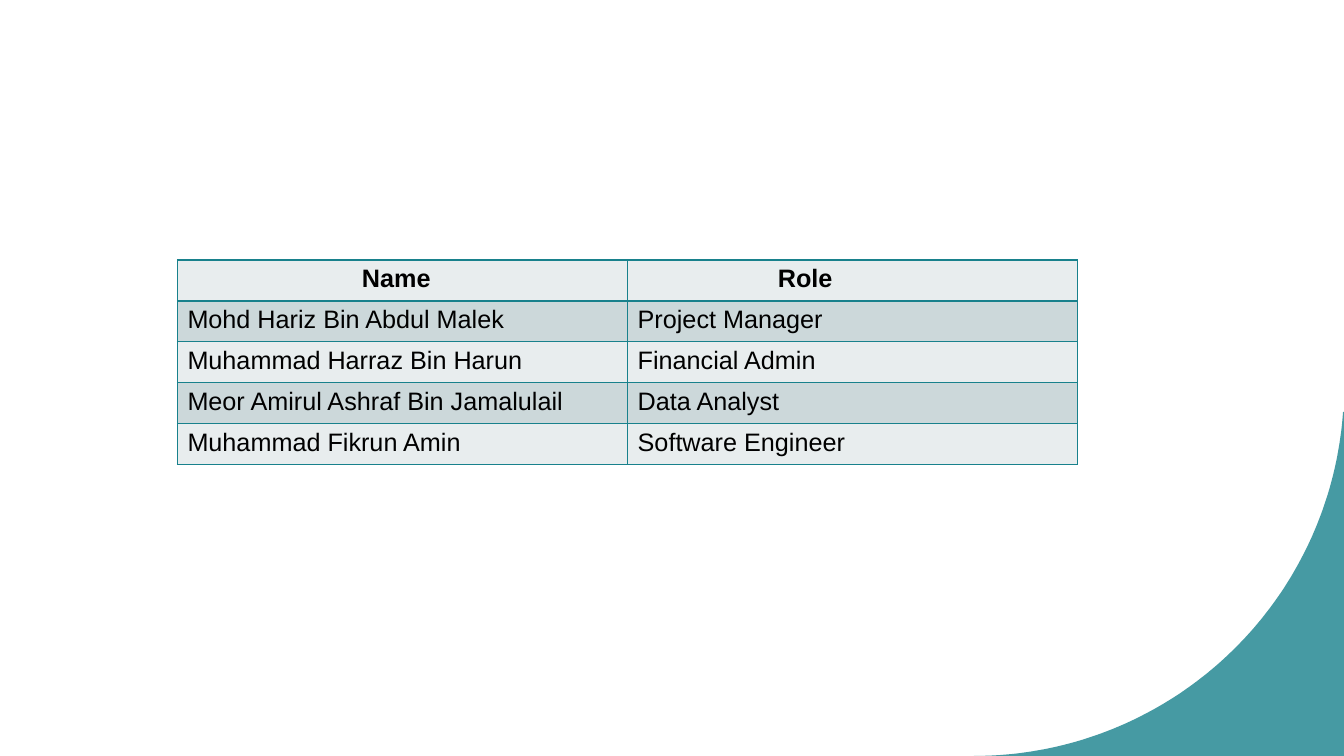
from math import cos, radians, sin

from lxml import etree
from pptx import Presentation
from pptx import util as u
from pptx.dml.color import RGBColor
from pptx.enum import text
from pptx.oxml import ns

WIDE, HIGH = 13.33, 7.5
TEAL = "18818C"
BANDS = ("E8EDEE", "CCD8DA")
ROWS = [
    ("Name", "Role"),
    ("Mohd Hariz Bin Abdul Malek", "Project Manager"),
    ("Muhammad Harraz Bin Harun", "Financial Admin"),
    ("Meor Amirul Ashraf Bin Jamalulail", "Data Analyst"),
    ("Muhammad Fikrun Amin", "Software Engineer"),
]
INSETS = (1.83, 1.49)


def tint(item, shade):
    item.solid()
    item.fore_color.rgb = RGBColor.from_string(shade)


def style(item, form):
    for name, value in form.items():
        setattr(item, name, value)


def add(parent, tag, **attrs):
    return etree.SubElement(parent, ns.qn(tag), attrs)


def corner(slide, left, top, size):
    arc = [(left + size * cos(radians(a)), top + size * sin(radians(a)))
           for a in range(4, 91)]
    edge = left + size
    pen = slide.shapes.build_freeform(edge, arc[0][1], scale=u.Inches(1))
    pen = slide.shapes.build_freeform(
        round(edge * 1000), round(arc[0][1] * 1000), scale=u.Inches(1) / 1000)
    points = arc + [(edge, top + size)]
    pen.add_line_segments(
        [(round(x * 1000), round(y * 1000)) for x, y in points], close=True)
    shape = pen.convert_to_shape()
    shape.shadow.inherit = False
    shape.line.fill.background()
    tint(shape.fill, TEAL)
    hue = shape.fill._xPr.find(ns.qn("a:solidFill"))[0]
    add(hue, "a:alpha", val="80000")


def border(cell):
    props = cell._tc.get_or_add_tcPr()
    for spot, side in enumerate(("lnL", "lnR", "lnT", "lnB")):
        line = etree.Element(ns.qn("a:" + side), w=str(u.Pt(1)))
        add(add(line, "a:solidFill"), "a:srgbClr", val=TEAL)
        props.insert(spot, line)


def team(slide, left, top, width, height):
    box = [u.Inches(v) for v in (left, top, width, height)]
    table = slide.shapes.add_table(len(ROWS), len(ROWS[0]), *box).table
    for r, row in enumerate(ROWS):
        for c, words in enumerate(row):
            cell = table.cell(r, c)
            style(cell, {
                "text": words,
                "margin_left": u.Inches(0.1 if r else INSETS[c]),
                "vertical_anchor": text.MSO_ANCHOR.TOP,
            })
            tint(cell.fill, BANDS[r % 2])
            border(cell)
            font = cell.text_frame.paragraphs[0].runs[0].font
            style(font, {"name": "Arial", "size": u.Pt(18), "bold": r == 0})
            tint(font.fill, "000000")


def main():
    deck = Presentation()
    style(deck, {"slide_width": u.Inches(WIDE), "slide_height": u.Inches(HIGH)})
    slide = deck.slides.add_slide(deck.slide_layouts[6])
    size = 3.67
    corner(slide, WIDE - size, HIGH - size, size)
    team(slide, 1.76, 2.58, 8.93, 2.03)
    deck.save("out.pptx")


if __name__ == "__main__":
    main()
